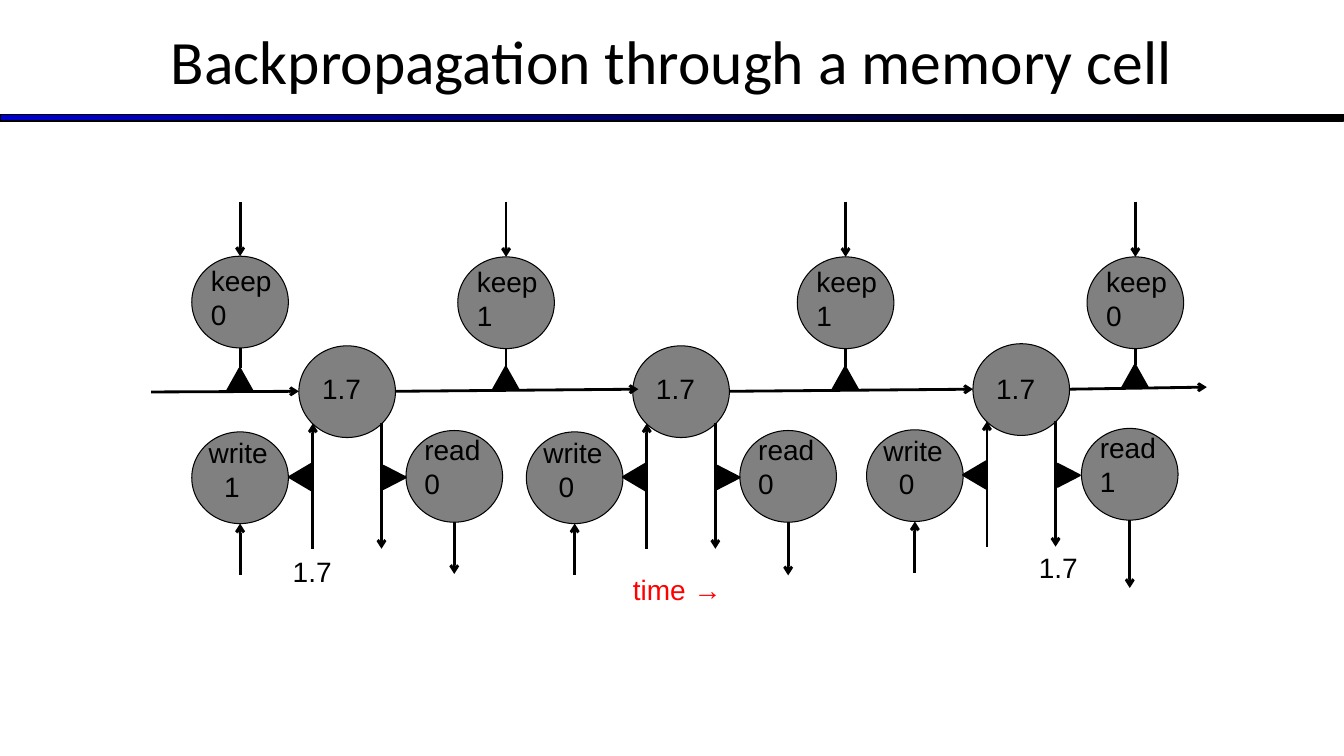
from lxml.etree import SubElement
from pptx import Presentation
from pptx.dml.color import RGBColor
from pptx.enum.shapes import MSO_CONNECTOR, MSO_SHAPE
from pptx.enum.text import MSO_ANCHOR, MSO_AUTO_SIZE, PP_ALIGN
from pptx.oxml.ns import qn
from pptx.util import Pt

BLACK = RGBColor(0, 0, 0)
GRAY = RGBColor(0x80, 0x80, 0x80)
BLUE = RGBColor(0, 0, 0xCC)
RED = RGBColor(0xFF, 0, 0)

NODE_W, NODE_H = 69, 65.5
NODE_MID = NODE_W / 2

# Keep gates: left, top, value, top of the triangle
KEEPS = [(137, 183, 0, 263), (327, 183.5, 1, 262),
         (569.5, 183.5, 1, 262), (776.5, 183.5, 0, 260.5)]
# Memory cells: left, top, write left, write value, read left, read value, read arrow length
CELLS = [(213.5, 247, 137, 1, 290, 0, 37),
         (452, 247, 376, 0, 528.5, 0, 38),
         (695, 245.5, 619, 0, 772.5, 1, 48.5)]
# State carried through time: start and end of each arrow
CARRIES = [(108, 280, 213.5, 279.5), (283, 279.5, 456, 278),
           (521.5, 279.5, 695, 278), (764, 278, 862, 276.5)]


def add_title(s, text):
    title = s.shapes.title
    title.left, title.top, title.width, title.height = Pt(0), Pt(-2), Pt(960), Pt(90)
    tf = title.text_frame
    tf.text = text
    tf.vertical_anchor = MSO_ANCHOR.MIDDLE
    p = tf.paragraphs[0]
    p.alignment = PP_ALIGN.CENTER
    p.font.name, p.font.size = "Calibri", Pt(44)
    p.font.color.rgb = BLACK


def add_shape(s, kind, x, y, w, h, color, line_width=0.75, rotation=0):
    sp = s.shapes.add_shape(kind, Pt(x), Pt(y), Pt(w), Pt(h))
    sp.shadow.inherit = False
    sp.fill.solid()
    sp.fill.fore_color.rgb = color
    sp.line.color.rgb = BLACK
    sp.line.width = Pt(line_width)
    sp.rotation = rotation
    return sp


def add_rule(s):
    bar = add_shape(s, MSO_SHAPE.RECTANGLE, 0, 81.5, 960, 5, BLUE)
    bar.fill.gradient()
    bar.fill.gradient_angle = 0
    for stop, color, position in zip(bar.fill.gradient_stops, (BLUE, BLACK), (0, 1)):
        stop.color.rgb = color
        stop.position = position


def add_node(s, x, y):
    add_shape(s, MSO_SHAPE.OVAL, x, y, NODE_W, NODE_H, GRAY)


def add_gate(s, x, y, w, h, rotation=0):
    add_shape(s, MSO_SHAPE.ISOSCELES_TRIANGLE, x, y, w, h, BLACK, 1.5, rotation)


def add_line(s, x1, y1, x2, y2, arrow=True):
    line = s.shapes.add_connector(MSO_CONNECTOR.STRAIGHT, Pt(x1), Pt(y1), Pt(x2), Pt(y2))
    line.line.color.rgb = BLACK
    line.line.width = Pt(2)
    if arrow:
        SubElement(line.line._get_or_add_ln(), qn("a:tailEnd"), type="arrow")
    SubElement(line._element.spPr, qn("a:effectLst"))


def add_label(s, x, y, w, lines, color=BLACK, hanging=0):
    box = s.shapes.add_textbox(Pt(x), Pt(y), Pt(w), Pt(31.5))
    tf = box.text_frame
    tf.word_wrap = True
    tf.auto_size = MSO_AUTO_SIZE.SHAPE_TO_FIT_TEXT
    tf.text = "\n".join(lines)
    for p in tf.paragraphs:
        p.font.name, p.font.size = "Arial", Pt(20)
        p.font.color.rgb = color
        if hanging:
            pPr = p._p.get_or_add_pPr()
            pPr.set("marL", str(Pt(hanging)))
            pPr.set("indent", str(Pt(-hanging)))


def add_keep(s, x, y, value, gate_y):
    mid = x + NODE_MID
    add_node(s, x, y)
    add_label(s, x + 6.5, y + 2, 62.5, [f"keep {value}"])
    add_gate(s, x + 25, gate_y, 18.5, 16.5)
    add_line(s, mid, y + NODE_H, mid, gate_y, arrow=False)
    add_line(s, mid, 144, mid, y)


def add_cell(s, x, y, write_x, write, read_x, read, read_length):
    # State of the cell with its input and output
    add_node(s, x, y)
    add_label(s, x + 9.5, 262, 55, ["1.7"])
    add_line(s, x + 10, y + 145, x + 10, y + 55.5)
    add_line(s, x + 59, y + 55.5, x + 59, y + 145)

    # Write gate
    write_y, write_mid = y + 61.5, write_x + NODE_MID
    add_node(s, write_x, write_y)
    add_label(s, write_x + 5, write_y - 1, 57.5, [f"write {write}"], hanging=11)
    add_gate(s, x - 8.5, y + 85.5, 19.5, 16.5, 270)
    add_line(s, write_mid, y + 163.5, write_mid, y + 127)

    # Read gate
    read_y, read_mid = y + 60.5, read_x + NODE_MID
    add_node(s, read_x, read_y)
    add_label(s, read_x + 6, read_y - 2, 70, ["read", str(read)])
    add_gate(s, x + 60, y + 86, 16.5, 16, 90)
    add_line(s, read_mid, read_y + NODE_H, read_mid, read_y + NODE_H + read_length)


def main():
    prs = Presentation()
    prs.slide_width, prs.slide_height = Pt(960), Pt(540)
    s = prs.slides.add_slide(prs.slide_layouts[5])
    add_rule(s)
    add_title(s, "Backpropagation through a memory cell")

    # Gates and cells along time
    for keep in KEEPS:
        add_keep(s, *keep)
    for cell in CELLS:
        add_cell(s, *cell)
    for carry in CARRIES:
        add_line(s, *carry)

    # Value written, value read and time axis
    add_label(s, 202, 392.5, 68, ["1.7"])
    add_label(s, 735, 390, 68, ["1.7"])
    add_label(s, 445, 405.5, 138, ["time →"], RED)
    prs.save("out.pptx")


if __name__ == "__main__":
    main()
